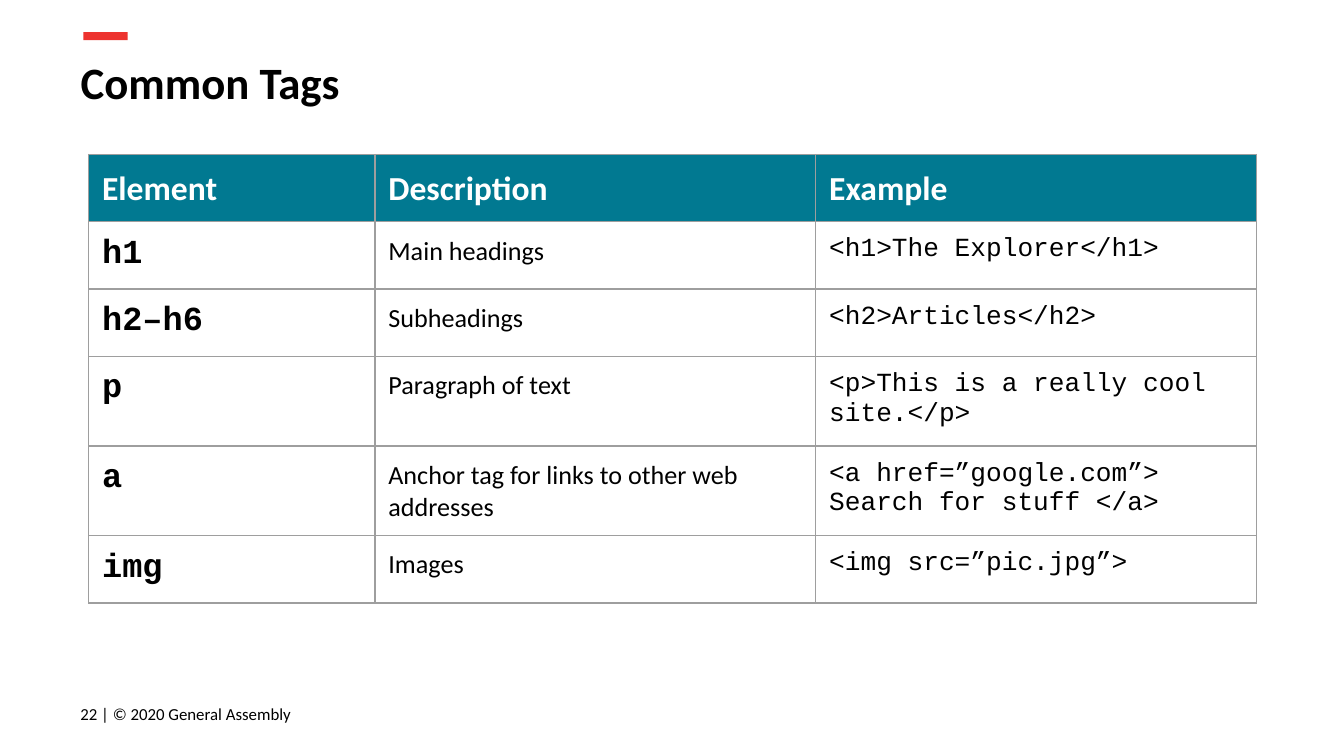
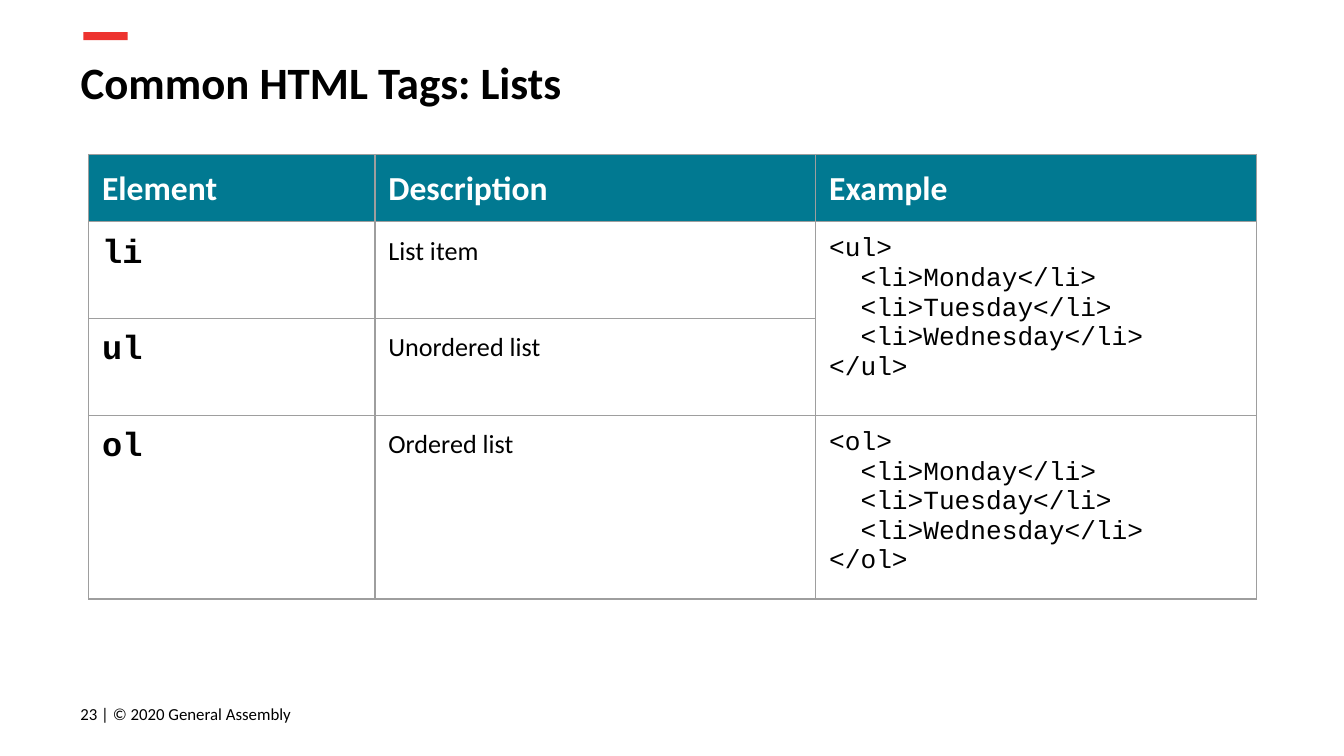
from copy import deepcopy
from dataclasses import dataclass
from typing import Optional

from lxml.etree import SubElement
from pptx import Presentation
from pptx.dml.color import RGBColor
from pptx.enum.shapes import MSO_SHAPE
from pptx.enum.text import MSO_ANCHOR, MSO_AUTO_SIZE, PP_ALIGN
from pptx.oxml import parse_xml
from pptx.oxml.ns import nsdecls, qn
from pptx.util import Emu, Pt

PX = 9144  # one px is a hundredth of an inch


@dataclass(frozen=True)
class Theme:
    ink: str = "000000"
    paper: str = "FFFFFF"
    red: str = "ED332F"
    teal: str = "017991"
    rule: str = "9E9E9E"
    sans: str = "Calibri"
    mono: str = "Courier New"
    title: int = 24
    head: int = 18
    body: int = 14
    foot: int = 9
    line: float = 0.75
    alpha: int = 51


@dataclass(frozen=True)
class Box:
    left: int
    top: int
    width: int
    height: int

    def emu(self) -> tuple:
        return tuple(px(n) for n in (self.left, self.top, self.width, self.height))


@dataclass(frozen=True)
class Row:
    tag: str
    about: str
    code: Optional[str]  # None continues the example above
    height: int = 42


@dataclass(frozen=True)
class Page:
    number: int
    title: str
    rows: tuple
    after: int = 0


THEME = Theme()
WIDE = 1000
BAR = Box(62, 24, 33, 6)
TITLE = Box(50, 31, 932, 63)
FOOT = Box(50, 510, 259, 43)
GRID_LEFT, GRID_TOP = 66, 115
COLS = (213, 328, 328)
HEAD = Row("Element", "Description", "Example")
INSET = 10


def px(count: int) -> Emu:
    return Emu(count * PX)


def days(tag: str) -> str:
    items = [f"  <li>{day}</li>" for day in ("Monday", "Tuesday", "Wednesday")]
    return "\n".join([f"<{tag}>", *items, f"</{tag}>"])


PAGES = (
    Page(22, "Common Tags", (
        Row("h1", "Main headings", "<h1>The Explorer</h1>"),
        Row("h2–h6", "Subheadings", "<h2>Articles</h2>"),
        Row("p", "Paragraph of text", "<p>This is a really cool site.</p>"),
        Row("a", "Anchor tag for links to other web addresses",
            "<a href=”google.com”> Search for stuff </a>"),
        Row("img", "Images", "<img src=”pic.jpg”>"),
    )),
    Page(23, "Common HTML Tags: Lists", (
        Row("li", "List item", days("ul"), 72),
        Row("ul", "Unordered list", None, 72),
        Row("ol", "Ordered list", days("ol"), 88),
    ), after=10),
)


def write(frame, text: str, *, size: int, face: str = THEME.sans,
          color: str = THEME.ink, bold: bool = False, after: int = 0) -> None:
    """Fill a text frame, one paragraph per line of text."""
    frame.word_wrap = True
    for i, line in enumerate(text.split("\n")):
        para = frame.paragraphs[0] if i == 0 else frame.add_paragraph()
        para.alignment = PP_ALIGN.LEFT
        para.space_before, para.space_after = Pt(0), Pt(after)
        run = para.add_run()
        run.text = line
        run.font.size, run.font.name, run.font.bold = Pt(size), face, bold
        run.font.color.rgb = RGBColor.from_string(color)
        # The paragraph mark takes the run's format, so rows keep their height
        look = run._r.get_or_add_rPr()
        mark = SubElement(para._p, qn("a:endParaRPr"), dict(look.attrib))
        mark.extend(deepcopy(part) for part in look)


def pad(item) -> None:
    """Give a cell or a text frame the same margin on each side."""
    item.margin_left = item.margin_right = px(INSET)
    item.margin_top = item.margin_bottom = px(INSET)


def paint(cell, color: str, alpha: int = 100) -> None:
    """Set the fill and the four borders of a cell."""
    cell.fill.solid()
    cell.fill.fore_color.rgb = RGBColor.from_string(color)
    props = cell._tc.get_or_add_tcPr()
    if alpha < 100:
        shade = props.find(qn("a:solidFill")).find(qn("a:srgbClr"))
        SubElement(shade, qn("a:alpha"), val=str(alpha * 1000))
    for i, side in enumerate(("lnL", "lnR", "lnT", "lnB")):
        props.insert(i, parse_xml(
            f'<a:{side} {nsdecls("a")} w="{int(Pt(THEME.line))}"><a:solidFill>'
            f'<a:srgbClr val="{THEME.rule}"/></a:solidFill></a:{side}>'))


def frame(slide, page: Page) -> None:
    """Draw the bar, the title and the footer that all slides share."""
    bar = slide.shapes.add_shape(MSO_SHAPE.RECTANGLE, *BAR.emu())
    bar.shadow.inherit = False
    bar.fill.solid()
    bar.fill.fore_color.rgb = RGBColor.from_string(THEME.red)
    bar.line.fill.background()

    foot = slide.shapes.add_textbox(*FOOT.emu()).text_frame
    pad(foot)
    foot.vertical_anchor = MSO_ANCHOR.MIDDLE
    write(foot, f"{page.number} | © 2020 General Assembly", size=THEME.foot)

    title = slide.shapes.title
    title.left, title.top, title.width, title.height = TITLE.emu()
    pad(title.text_frame)
    title.text_frame.vertical_anchor = MSO_ANCHOR.TOP
    title.text_frame.auto_size = MSO_AUTO_SIZE.NONE
    write(title.text_frame, page.title, size=THEME.title, bold=True,
          after=page.after)


def grid(slide, rows: tuple) -> None:
    """Draw the table of tags below its header row."""
    lines = (HEAD, *rows)
    box = Box(GRID_LEFT, GRID_TOP, sum(COLS), sum(r.height for r in lines))
    table = slide.shapes.add_table(len(lines), len(COLS), *box.emu()).table
    table.horz_banding = False
    for col, width in zip(table.columns, COLS):
        col.width = px(width)

    top = dict(size=THEME.head, color=THEME.paper, bold=True)
    styles = (dict(size=THEME.head, face=THEME.mono, bold=True),
              dict(size=THEME.body),
              dict(size=THEME.body, face=THEME.mono))
    for r, row in enumerate(lines):
        table.rows[r].height = px(row.height)
        for c, text in enumerate((row.tag, row.about, row.code)):
            cell = table.cell(r, c)
            pad(cell)
            if r == 0:
                paint(cell, THEME.teal)
            else:
                paint(cell, THEME.paper, THEME.alpha)
            if text is None:
                table.cell(r - 1, c).merge(cell)
            else:
                write(cell.text_frame, text, **(styles[c] if r else top))


def main() -> None:
    deck = Presentation()
    deck.slide_width = px(WIDE)
    deck.slide_height = Emu(px(WIDE) * 9 // 16)
    for page in PAGES:
        slide = deck.slides.add_slide(deck.slide_layouts[5])
        frame(slide, page)
        grid(slide, page.rows)
    deck.save("out.pptx")


if __name__ == "__main__":
    main()
